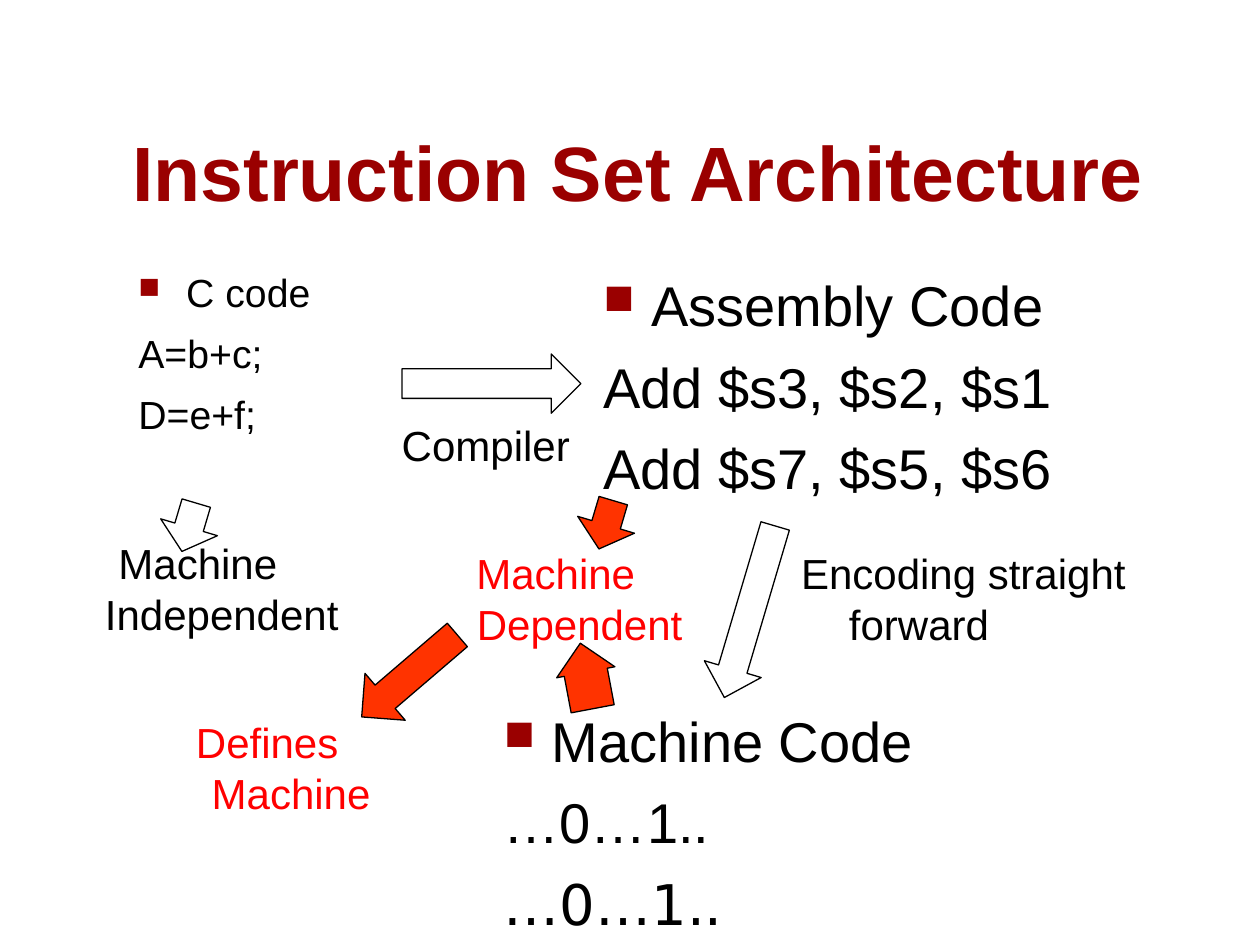
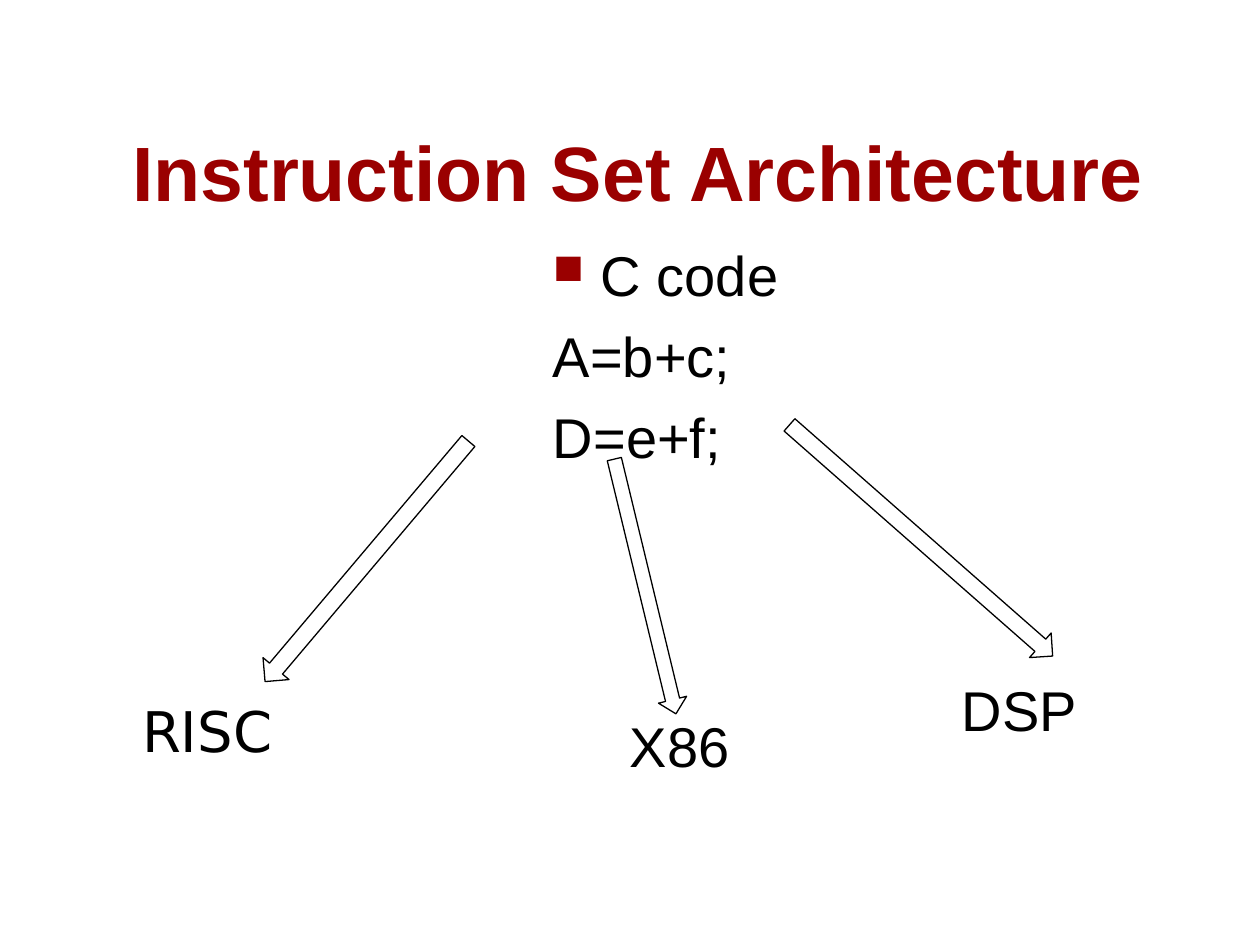
from dataclasses import dataclass

from lxml.etree import SubElement
from pptx import Presentation
from pptx.dml.color import RGBColor
from pptx.enum.shapes import MSO_SHAPE as Shape
from pptx.enum.text import MSO_ANCHOR as Anchor, MSO_AUTO_SIZE as AutoSize, PP_ALIGN as Align
from pptx.oxml.ns import qn
from pptx.util import Inches, Pt


@dataclass(frozen=True)
class Theme:
    font: str = "Arial"
    alt_font: str = "DejaVu Sans"
    accent: str = "9A0000"
    ink: str = "000000"
    alert: str = "FF0000"
    alert_fill: str = "FF3300"
    paper: str = "FFFFFF"
    title: float = 44
    code: float = 32
    small_code: float = 22.4
    label: float = 24


THEME = Theme()
TITLE_BOX = (0.95, 0.94, 8.93, 0.83)
HANG = 0.38
C_CODE = ["C code", "A=b+c;", "D=e+f;"]

SLIDES = [
    {
        "title": "Instruction Set Architecture",
        "listings": [
            {"box": (1, 2.08, 2.43, 1.51), "lines": C_CODE, "size": THEME.small_code},
            {"box": (4.69, 2.1, 4.41, 1.51),
             "lines": ["Assembly Code", "Add $s3, $s2, $s1", "Add $s7, $s5, $s6"]},
            {"box": (3.9, 5.56, 4.41, 1.51),
             "lines": ["Machine Code", "…0…1..", "…0…1.."],
             "last_font": THEME.alt_font},
        ],
        "labels": [
            {"box": (6.26, 4.3, 3.07, 0.94), "text": "Encoding straight forward",
             "align": Align.LEFT},
            {"box": (3.03, 3.28, 1.65, 0.94), "text": "Compiler"},
            {"box": (0.35, 4.22, 2.44, 0.94), "text": "Machine Independent"},
            {"box": (3.27, 4.3, 2.28, 0.94), "text": "Machine Dependent", "color": THEME.alert},
            {"box": (0.98, 5.64, 2.28, 0.94), "text": "Defines Machine", "color": THEME.alert},
        ],
        "arrows": [
            {"box": (3.19, 2.81, 1.42, 0.47)},
            {"box": (5.24, 4.62, 1.42, 0.47), "angle": 106.5},
            {"box": (1.3, 3.95, 0.4, 0.47), "angle": 106.5},
            {"box": (4.61, 3.93, 0.4, 0.47), "angle": 106.5, "fill": THEME.alert_fill},
            {"box": (4.39, 5.13, 0.53, 0.47), "angle": 259.3, "fill": THEME.alert_fill,
             "shaft": 0.74},
            {"box": (2.75, 5.12, 1, 0.49), "angle": 139.4, "fill": THEME.alert_fill},
        ],
    },
    {
        "title": "Instruction Set Architecture",
        "listings": [{"box": (4.29, 1.86, 2.03, 1.9), "lines": C_CODE}],
        "labels": [
            {"box": (0.51, 5.48, 2.27, 1.42), "text": "RISC", "size": THEME.code,
             "font": THEME.alt_font},
            {"box": (4.37, 5.6, 2.05, 1.9), "text": "X86", "size": THEME.code},
            {"box": (6.81, 5.31, 2.56, 1.9), "text": "DSP", "size": THEME.code},
        ],
        "arrows": [
            {"box": (1.66, 4.32, 2.5, 0.27), "angle": 130.2},
            {"box": (4.08, 4.54, 2.08, 0.23), "angle": 76.4},
            {"box": (5.92, 4.16, 2.78, 0.26), "angle": 41.3},
        ],
    },
]


def inches(box):
    return [Inches(length) for length in box]


def style(paragraph, size, color=THEME.ink, font=THEME.font, bold=False):
    paragraph.font.size = Pt(size)
    paragraph.font.name = font
    paragraph.font.bold = bold
    paragraph.font.color.rgb = RGBColor.from_string(color)


def hang(paragraph):
    properties = paragraph._p.get_or_add_pPr()
    properties.set("marL", str(Inches(HANG)))
    properties.set("indent", str(-Inches(HANG)))
    return properties


def add_bullet(properties):
    color = SubElement(properties, qn("a:buClr"))
    SubElement(color, qn("a:srgbClr"), val=THEME.accent)
    SubElement(properties, qn("a:buSzPct"), val="75000")
    SubElement(properties, qn("a:buChar"), char="■")


def add_text_frame(slide, box):
    frame = slide.shapes.add_textbox(*inches(box)).text_frame
    frame.word_wrap = True
    return frame


def set_title(slide, text):
    title = slide.shapes.title
    title.left, title.top, title.width, title.height = inches(TITLE_BOX)
    frame = title.text_frame
    frame.text = text
    frame.vertical_anchor = Anchor.BOTTOM
    frame.auto_size = AutoSize.SHAPE_TO_FIT_TEXT
    heading = frame.paragraphs[0]
    heading.alignment = Align.LEFT
    style(heading, THEME.title, THEME.accent, bold=True)


def add_listing(slide, box, lines, size=THEME.code, last_font=THEME.font):
    frame = add_text_frame(slide, box)
    frame.text = "\n".join(lines)
    heading, *code_lines = frame.paragraphs
    add_bullet(hang(heading))
    style(heading, size)
    for line in code_lines:
        hang(line)
        line.space_before = Pt(8)
        style(line, size, font=last_font if line is code_lines[-1] else THEME.font)


def add_label(slide, box, text, align=Align.CENTER, size=THEME.label,
              color=THEME.ink, font=THEME.font):
    frame = add_text_frame(slide, box)
    frame.text = text
    label = frame.paragraphs[0]
    hang(label)
    label.alignment = align
    style(label, size, color, font)


def add_arrow(slide, box, angle=0, fill=THEME.paper, shaft=0.5):
    arrow = slide.shapes.add_shape(Shape.RIGHT_ARROW, *inches(box))
    arrow.rotation = angle
    arrow.adjustments[0] = shaft
    arrow.shadow.inherit = False
    arrow.fill.solid()
    arrow.fill.fore_color.rgb = RGBColor.from_string(fill)
    arrow.line.color.rgb = RGBColor.from_string(THEME.ink)
    arrow.line.width = Pt(0.75)


def main():
    deck = Presentation()
    deck.slide_width, deck.slide_height = Inches(10), Inches(7.5)
    title_only = deck.slide_layouts.get_by_name("Title Only")
    for content in SLIDES:
        slide = deck.slides.add_slide(title_only)
        set_title(slide, content["title"])
        for listing in content["listings"]:
            add_listing(slide, **listing)
        for label in content["labels"]:
            add_label(slide, **label)
        for arrow in content["arrows"]:
            add_arrow(slide, **arrow)
    deck.save("out.pptx")


if __name__ == "__main__":
    main()
